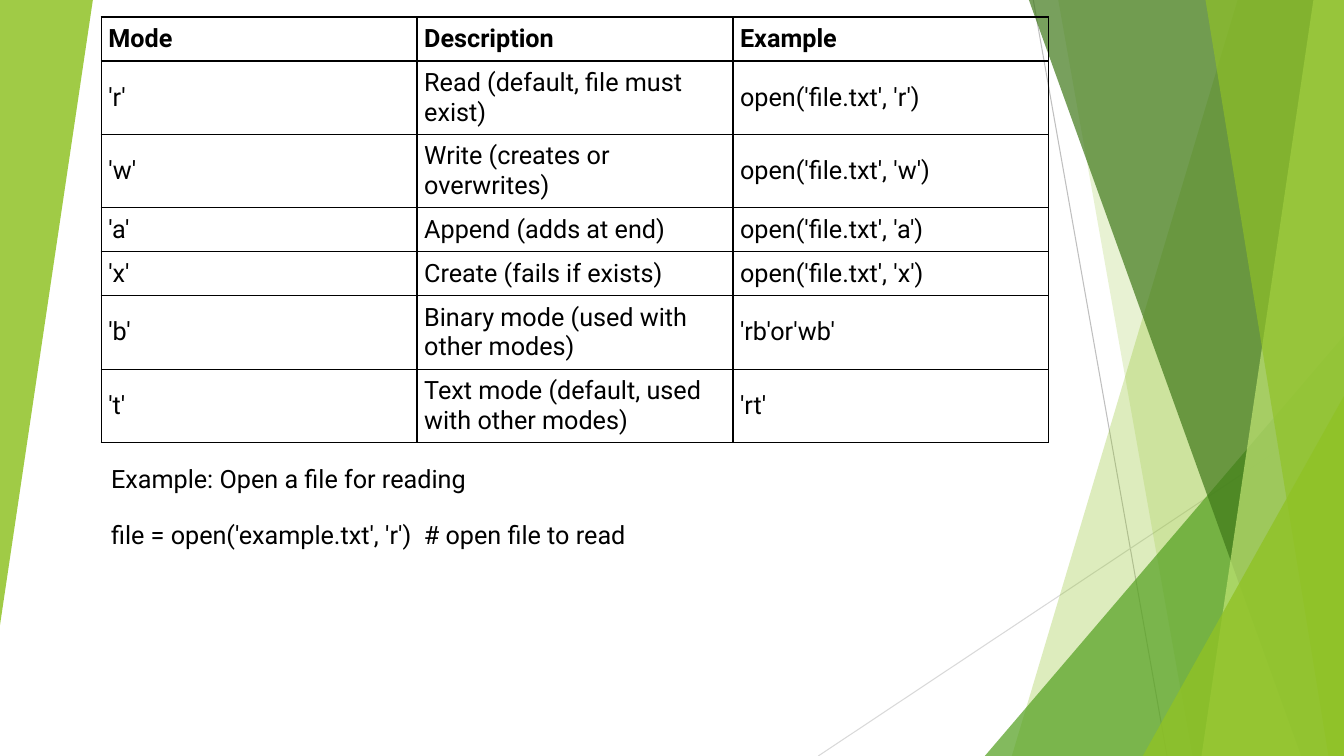
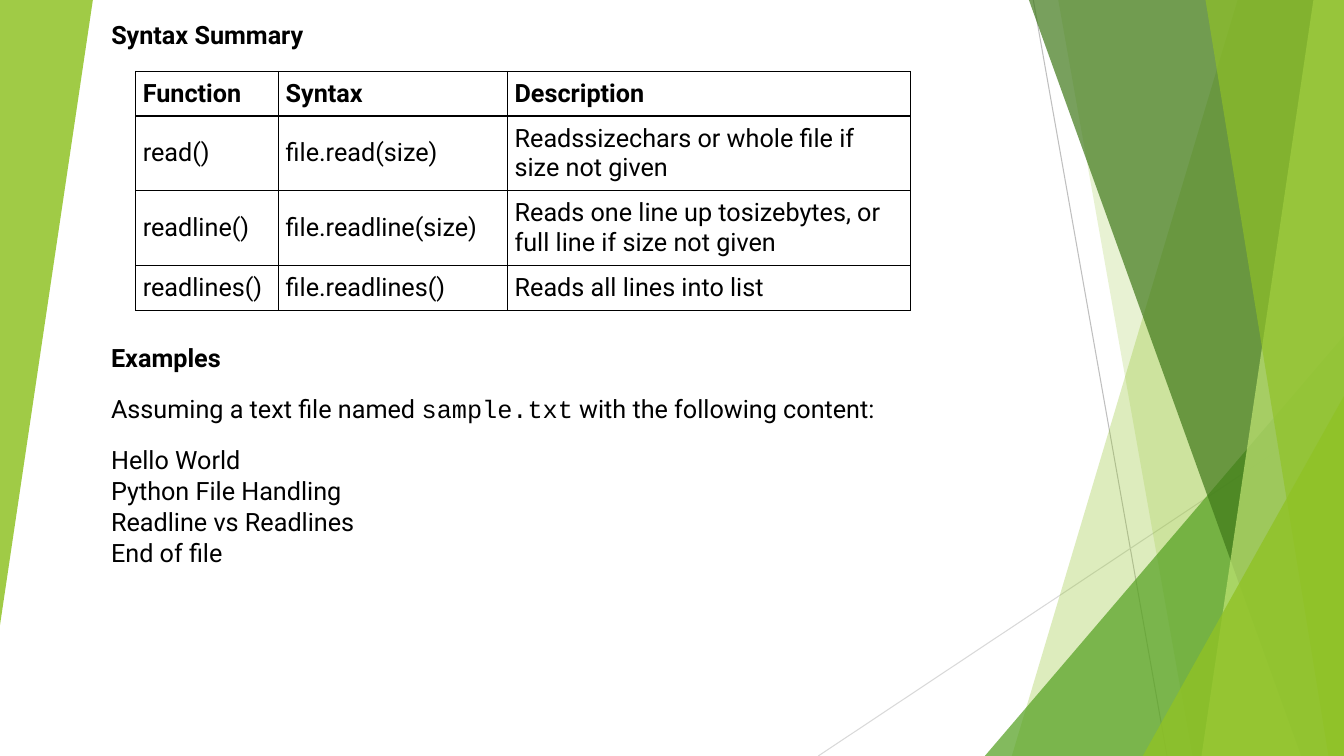
from lxml import etree
from pptx import Presentation
from pptx.dml.color import RGBColor
from pptx.enum.shapes import MSO_CONNECTOR, MSO_SHAPE
from pptx.enum.text import MSO_ANCHOR, MSO_AUTO_SIZE, PP_ALIGN
from pptx.oxml.ns import qn
from pptx.util import Cm, Pt

STRAIGHT = MSO_CONNECTOR.STRAIGHT
TRIANGLE = MSO_SHAPE.ISOSCELES_TRIANGLE
LEFT = PP_ALIGN.LEFT
TOP, MIDDLE = MSO_ANCHOR.TOP, MSO_ANCHOR.MIDDLE
GROW = MSO_AUTO_SIZE.SHAPE_TO_FIT_TEXT

# Shared style, lengths in centimetres
W, H = 33.87, 19.05
FONT, CODE_FONT, SIZE = "Roboto", "Courier New", 18
BLACK, LIME, GREEN = "000000", "90C226", "54A021"
DARK_GREEN, PALE_GREEN = "3F7819", "C0E474"
CELL_INSET = 0.18
TEXT_X = 2.55


def rgb(color):
    return RGBColor.from_string(color)


# Text
def write(tf, text, font=FONT, size=SIZE, color=BLACK, bold=False, spacing=None):
    """Fill tf; text is a string or a list of paragraphs, and a paragraph
    is a string or a list of (text, font) runs."""
    for i, para in enumerate([text] if isinstance(text, str) else text):
        p = tf.paragraphs[0] if i == 0 else tf.add_paragraph()
        p.alignment = LEFT
        if spacing:
            p.line_spacing = spacing
        for words, face in [(para, font)] if isinstance(para, str) else para:
            r = p.add_run()
            r.text = words
            r.font.name, r.font.size, r.font.bold = face, Pt(size), bold
            r.font.color.rgb = rgb(color)


def fit_frame(tf):
    tf.word_wrap = True
    tf.auto_size = GROW
    tf.vertical_anchor = TOP


def add_text(slide, x, y, w, text, h=1.02, **fmt):
    tf = slide.shapes.add_textbox(Cm(x), Cm(y), Cm(w), Cm(h)).text_frame
    fit_frame(tf)
    write(tf, text, **fmt)


def set_title(slide, x, y, w, text, h=1.02):
    sp = slide.shapes.title
    sp.left, sp.top, sp.width, sp.height = Cm(x), Cm(y), Cm(w), Cm(h)
    fit_frame(sp.text_frame)
    write(sp.text_frame, text, bold=True)


# Tables
def set_borders(cell, color=BLACK, width=1):
    tc_pr = cell._tc.get_or_add_tcPr()
    for side in ("a:lnL", "a:lnR", "a:lnT", "a:lnB"):
        ln = etree.SubElement(tc_pr, qn(side), w=str(Pt(width)))
        fill = etree.SubElement(ln, qn("a:solidFill"))
        etree.SubElement(fill, qn("a:srgbClr"), val=color)


def add_table(slide, x, y, col_widths, row_heights, rows):
    frame = slide.shapes.add_table(
        len(rows), len(col_widths), Cm(x), Cm(y),
        Cm(sum(col_widths)), Cm(sum(row_heights)))
    table = frame.table
    table.first_row = table.horz_banding = False
    for column, width in zip(table.columns, col_widths):
        column.width = Cm(width)
    for i, (row, height, texts) in enumerate(zip(table.rows, row_heights, rows)):
        row.height = Cm(height)
        for cell, text in zip(row.cells, texts):
            cell.margin_left = cell.margin_right = Cm(CELL_INSET)
            cell.margin_top = cell.margin_bottom = Cm(CELL_INSET)
            cell.vertical_anchor = MIDDLE
            set_borders(cell)
            cell.fill.background()
            write(cell.text_frame, text, bold=i == 0)


# Background facets
def paint(sp, color, opacity):
    sp.shadow.inherit = False
    sp.line.fill.background()
    sp.fill.solid()
    sp.fill.fore_color.rgb = rgb(color)
    clr = sp.element.spPr.find(".//" + qn("a:srgbClr"))
    etree.SubElement(clr, qn("a:alpha"), val=str(opacity * 1000))


def add_ray(slide, x1, y1, x2, y2, color):
    line = slide.shapes.add_connector(STRAIGHT, Cm(x1), Cm(y1), Cm(x2), Cm(y2))
    line.line.color.rgb = rgb(color)
    line.line.width = Pt(0.75)
    etree.SubElement(line.element.spPr, qn("a:effectLst"))


def add_band(slide, top_x, bottom_x, color, opacity):
    """Full-height band from a slanted left side to the right slide edge."""
    builder = slide.shapes.build_freeform(Cm(top_x), Cm(0))
    builder.add_line_segments(
        [(Cm(W), Cm(0)), (Cm(W), Cm(H)), (Cm(bottom_x), Cm(H))])
    paint(builder.convert_to_shape(), color, opacity)


def add_triangle(slide, x, y, w, h, color, opacity, rotation=0):
    sp = slide.shapes.add_shape(TRIANGLE, Cm(x), Cm(y), Cm(w), Cm(h))
    sp.adjustments[0] = 1
    sp.rotation = rotation
    paint(sp, color, opacity)


def add_corner(slide, x, y, color, opacity):
    add_triangle(slide, x, y, W - x, H - y, color, opacity)


def move_to_master(slide, master):
    tree = master.shapes.element
    for i, sp in enumerate(list(slide.shapes)):
        sp.element.find(".//" + qn("p:cNvPr")).set("id", str(101 + i))
        tree.insert(2 + i, sp.element)


def build_master(prs, slide):
    add_ray(slide, 26.04, 0, 29.41, H, "BFBFBF")
    add_ray(slide, W, 10.24, 20.62, H, "D9D9D9")
    add_band(slide, 31.19, 25.5, LIME, 30)
    add_band(slide, 26.67, 30.05, LIME, 20)
    add_corner(slide, 24.82, 8.46, GREEN, 72)
    add_band(slide, 25.93, 32.79, DARK_GREEN, 70)
    add_band(slide, 33.1, 30.28, PALE_GREEN, 70)
    add_band(slide, 30.38, 33.48, LIME, 65)
    add_corner(slide, 28.8, 9.98, LIME, 80)
    add_triangle(slide, 0, 0, 2.34, 15.75, LIME, 85, rotation=180)
    move_to_master(slide, prs.slide_master)


# Slides
def build_modes(slide):
    one, two = 1.09, 1.83
    add_table(slide, TEXT_X, 0.43, [7.96] * 3,
              [one, two, two, one, one, two, two], [
        ("Mode", "Description", "Example"),
        ("'r'", "Read (default, file must exist)", "open('file.txt', 'r')"),
        ("'w'", "Write (creates or overwrites)", "open('file.txt', 'w')"),
        ("'a'", "Append (adds at end)", "open('file.txt', 'a')"),
        ("'x'", "Create (fails if exists)", "open('file.txt', 'x')"),
        ("'b'", "Binary mode (used with other modes)", "'rb'or'wb'"),
        ("'t'", "Text mode (default, used with other modes)", "'rt'"),
    ])
    add_text(slide, TEXT_X, 11.56, 16.93, "Example: Open a file for reading")
    add_text(slide, TEXT_X, 12.95, 16.93,
             "file = open('example.txt', 'r')  # open file to read")


def build_syntax(slide):
    one, two = 1.11, 1.87
    set_title(slide, TEXT_X, 0.35, 22.53, "Syntax Summary")
    add_table(slide, 3.42, 1.8, [3.6, 5.77, 10.16], [one, two, two, one], [
        ("Function", "Syntax", "Description"),
        ("read()", "file.read(size)",
         "Readssizechars or whole file if size not given"),
        ("readline()", "file.readline(size)",
         "Reads one line up tosizebytes, or full line if size not given"),
        ("readlines()", "file.readlines()", "Reads all lines into list"),
    ])
    add_text(slide, TEXT_X, 8.5, 16.93, "Examples", bold=True)
    add_text(slide, TEXT_X, 9.78, 21.77, [[
        ("Assuming a text file named ", FONT),
        ("sample.txt", CODE_FONT),
        (" with the following content:", FONT)]])
    add_text(slide, TEXT_X, 11.05, 16.93, [
        "Hello World", "Python File Handling",
        "Readline vs Readlines", "End of file"], h=3.33, spacing=1.03)


def main():
    prs = Presentation()
    prs.slide_width, prs.slide_height = Cm(W), Cm(H)
    title_only, blank = prs.slide_layouts[5], prs.slide_layouts[6]
    modes = prs.slides.add_slide(blank)
    build_master(prs, modes)
    build_modes(modes)
    build_syntax(prs.slides.add_slide(title_only))
    prs.save("out.pptx")


if __name__ == "__main__":
    main()
